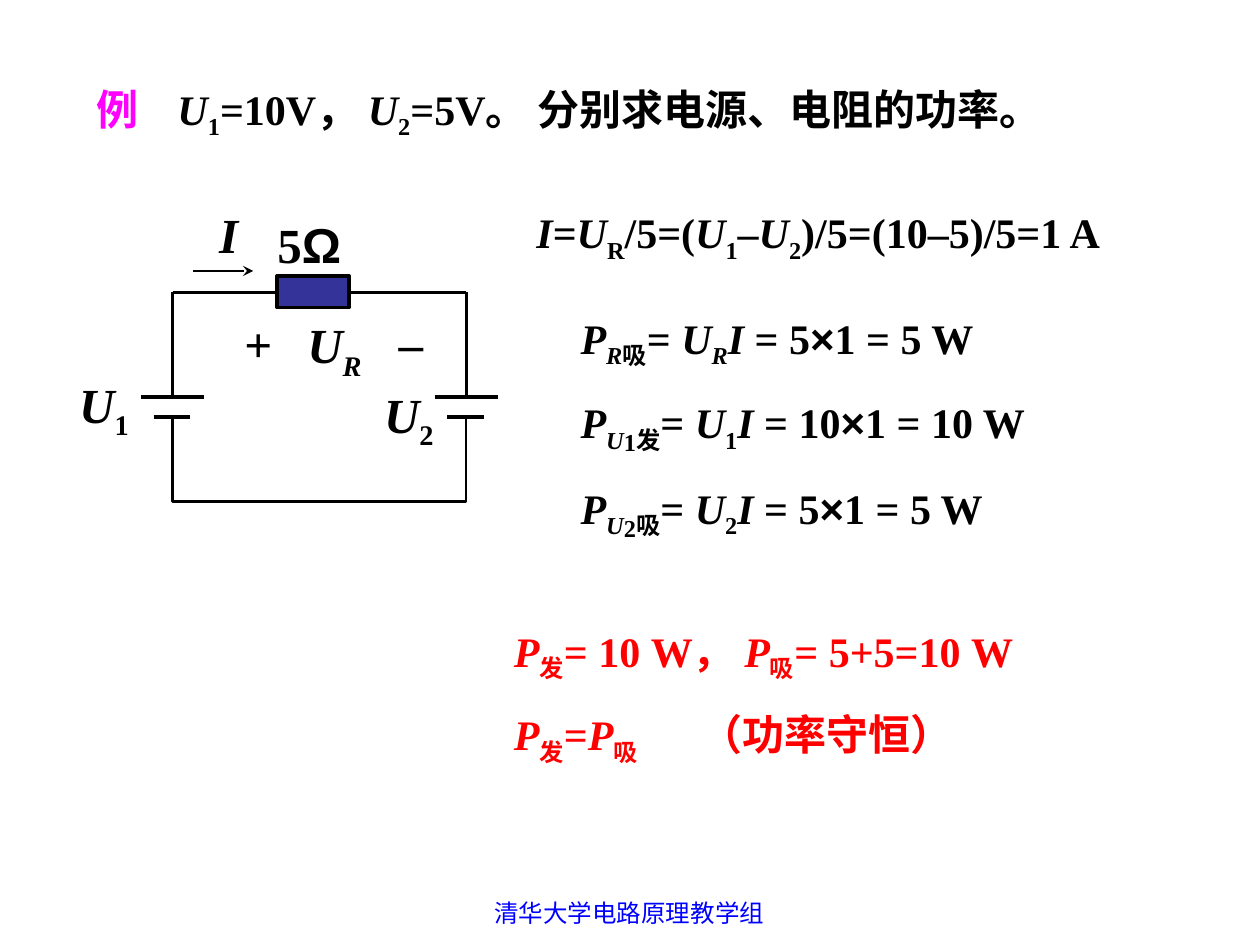
from dataclasses import dataclass

from pptx import Presentation
from pptx.dml.color import RGBColor
from pptx.enum.shapes import MSO_CONNECTOR, MSO_SHAPE
from pptx.enum.text import MSO_ANCHOR, PP_ALIGN
from pptx.oxml.ns import qn
from pptx.util import Inches, Pt
from lxml.etree import SubElement


@dataclass(frozen=True)
class Theme:
    black: RGBColor = RGBColor(0x00, 0x00, 0x00)
    accent: RGBColor = RGBColor(0xFF, 0x00, 0xFF)
    result: RGBColor = RGBColor(0xFF, 0x00, 0x00)
    footer: RGBColor = RGBColor(0x00, 0x00, 0xFF)
    resistor: RGBColor = RGBColor(0x33, 0x33, 0x99)
    serif: str = "Times New Roman"
    sans: str = "Arial"
    label_size: int = 28
    body_size: int = 24
    footer_size: int = 14
    wire: float = 1.5
    plate: float = 2


class SlideBuilder:
    def __init__(self, s, theme):
        self.s = s
        self.theme = theme

    def text(self, box, paras, size, color=None, align=PP_ALIGN.JUSTIFY,
             before=15, tab=None, anchor=MSO_ANCHOR.MIDDLE, bold=True):
        """Each run is (text, flags): i italic, s subscript, d deeper subscript,
        a sans font, c accent colour."""
        t = self.theme
        tf = self.s.shapes.add_textbox(*map(Inches, box)).text_frame
        tf.word_wrap = True
        tf.vertical_anchor = anchor
        for n, runs in enumerate(paras):
            p = tf.add_paragraph() if n else tf.paragraphs[0]
            p.alignment = align
            p.space_before = Pt(before)
            if tab:
                tabs = SubElement(p._p.get_or_add_pPr(), qn("a:tabLst"))
                SubElement(tabs, qn("a:tab"), pos=str(Inches(tab)), algn="l")
            for words, flags in runs:
                r = p.add_run()
                r.text = words
                r.font.size = Pt(size)
                r.font.bold = bold
                r.font.italic = "i" in flags
                r.font.name = t.sans if "a" in flags else t.serif
                r.font.color.rgb = t.accent if "c" in flags else color or t.black
                if "s" in flags or "d" in flags:
                    r.font._element.set("baseline", "-30000" if "d" in flags else "-25000")

    def label(self, box, runs):
        self.text(box, [runs], self.theme.label_size, align=PP_ALIGN.CENTER, before=17.5)

    def line(self, x1, y1, x2, y2, width, arrow=False):
        sp = self.s.shapes.add_connector(
            MSO_CONNECTOR.STRAIGHT, *map(Inches, (x1, y1, x2, y2)))
        sp.line.color.rgb = self.theme.black
        sp.line.width = Pt(width)
        if arrow:
            SubElement(sp.line._get_or_add_ln(), qn("a:tailEnd"), type="stealth")
        SubElement(sp._element.spPr, qn("a:effectLst"))

    def resistor(self, box):
        sp = self.s.shapes.add_shape(MSO_SHAPE.RECTANGLE, *map(Inches, box))
        sp.shadow.inherit = False
        sp.fill.solid()
        sp.fill.fore_color.rgb = self.theme.resistor
        sp.line.color.rgb = self.theme.black
        sp.line.width = Pt(self.theme.plate)

    def wire(self, points):
        pts = [(Inches(x), Inches(y)) for x, y in points]
        fb = self.s.shapes.build_freeform(*pts[0])
        fb.add_line_segments(pts[1:], close=False)
        sp = fb.convert_to_shape()
        sp.shadow.inherit = False
        sp.fill.background()
        sp.line.color.rgb = self.theme.black
        sp.line.width = Pt(self.theme.wire)

    def source(self, x, top, y):
        """Battery plates at y, with the wire that rises to top."""
        t = self.theme
        self.line(x - 0.25, y, x + 0.25, y, t.plate)
        self.line(x - 0.15, y + 0.16, x + 0.14, y + 0.16, t.plate)
        self.line(x, top, x, y, t.wire)


def draw_circuit(b):
    left, right, top, plate, bottom = 1.37, 3.7, 2.32, 3.15, 3.98
    wire = b.theme.wire
    b.resistor((2.2, 2.19, 0.57, 0.25))
    b.line(left, top, 2.2, top, wire)
    b.line(2.78, top, right, top, wire)
    b.line(1.53, 2.15, 2.01, 2.15, wire, arrow=True)
    for x in (left, right):
        b.source(x, top, plate)
    b.wire([(left, 3.32), (left, bottom), (right, bottom), (right, 3.32)])

    for box, runs in [
        ((1.84, 2.44, 0.38, 0.57), [("+", "")]),
        ((3.0, 2.43, 0.52, 0.57), [("–", "")]),
        ((1.87, 1.65, 1.17, 0.57), [("5", ""), ("Ω", "a")]),
        ((1.53, 1.57, 0.57, 0.57), [("I", "i")]),
        ((2.28, 2.45, 0.75, 0.63), [("U", "i"), ("R", "is")]),
        ((0.45, 2.92, 0.75, 0.63), [("U", "i"), ("1", "s")]),
        ((2.87, 3.0, 0.75, 0.63), [("U", "i"), ("2", "s")]),
    ]:
        b.label(box, runs)


def draw_solution(b):
    t = b.theme
    u1 = [("U", "i"), ("1", "s")]
    u2 = [("U", "i"), ("2", "s")]
    ur = [("U", "i"), ("R", "is")]
    gives = [("P", "i"), ("发", "s")]
    takes = [("P", "i"), ("吸", "s")]

    b.text((0.67, 0.61, 8.91, 0.56),
           [[("例\t", "c"), *u1, ("=10V， ", ""), *u2,
             ("=5V。 分别求电源、电阻的功率。", "")]], t.body_size, tab=0.64)
    b.text((4.16, 1.59, 5.4, 0.56),
           [[("I", "i"), ("=", ""), ("U", "i"), ("R", "s"), ("/5=(", ""), *u1,
             ("–", ""), *u2, (")/5=(10–5)/5=1 A", "")]], t.body_size)

    powers = [
        ([("R", "is"), ("吸", "s")], ur, "5", "5"),
        ([("U", "is"), ("1", "d"), ("发", "s")], u1, "10", "10"),
        ([("U", "is"), ("2", "d"), ("吸", "s")], u2, "5", "5"),
    ]
    for n, (index, voltage, volts, watts) in enumerate(powers):
        b.text((4.51, 2.42 + 0.68 * n, 4.43, 0.57),
               [[("P", "i"), *index, ("= ", ""), *voltage, ("I ", "i"),
                 (f"= {volts}", ""), ("×", "a"), (f"1 = {watts} W", "")]], t.body_size)

    b.text((3.98, 4.91, 4.92, 1.22),
           [[*gives, ("= 10 W， ", ""), *takes, ("= 5+5=10 W", "")],
            [*gives, ("=", ""), *takes, ("\t（功率守恒）", "")]],
           t.body_size, t.result, PP_ALIGN.LEFT, tab=1.48)


def main():
    prs = Presentation()
    prs.slide_width, prs.slide_height = Inches(10), Inches(7.5)
    b = SlideBuilder(prs.slides.add_slide(prs.slide_layouts[6]), Theme())
    draw_circuit(b)
    draw_solution(b)
    b.text((3.41, 7.08, 3.17, 0.27), [[("清华大学电路原理教学组", "a")]],
           b.theme.footer_size, b.theme.footer, PP_ALIGN.CENTER, before=0,
           anchor=MSO_ANCHOR.TOP, bold=False)
    prs.save("out.pptx")


if __name__ == "__main__":
    main()
